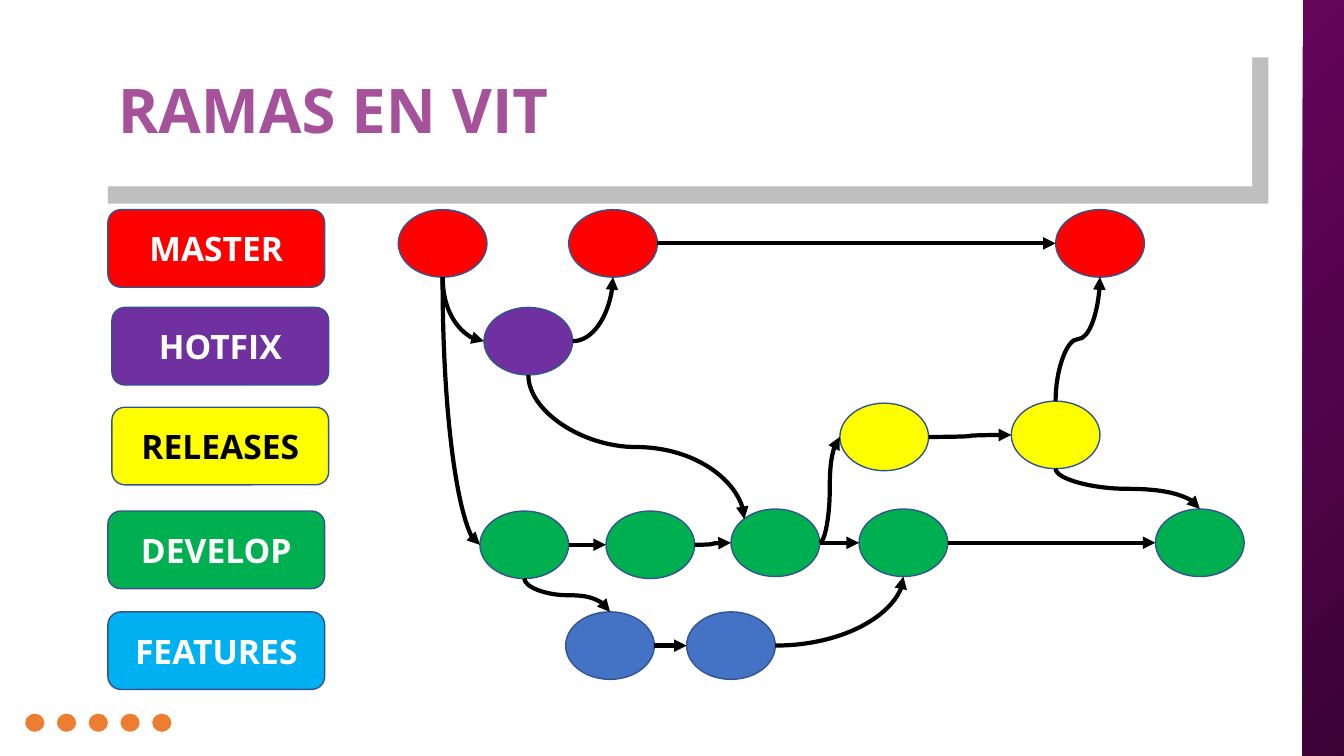
from dataclasses import dataclass
from enum import Enum

import lxml.etree
import pptx
import pptx.dml.color
import pptx.enum.shapes
import pptx.enum.text
import pptx.oxml
import pptx.oxml.ns
import pptx.util

Inches = pptx.util.Inches
Shapes = pptx.enum.shapes.MSO_SHAPE
qn = pptx.oxml.ns.qn


@dataclass(frozen=True)
class Theme:
    font: str = "Open Sans"
    title_size: int = 44
    label_size: int = 24
    outline_width: int = 1
    arrow_width: int = 3
    title: str = "A5529B"
    shade: str = "BFBFBF"
    white: str = "FFFFFF"
    black: str = "000000"
    dot: str = "ED7D31"
    outline: str = "325491"
    master: str = "FF0000"
    hotfix: str = "7030A0"
    release: str = "FFFF00"
    develop: str = "00B050"
    features_label: str = "00B0F0"
    feature: str = "4472C4"
    band: tuple[str, ...] = ("390233", "53034B", "64045B")


THEME = Theme()
COMMIT_WIDTH, COMMIT_HEIGHT = 0.88, 0.67


class Side(Enum):
    TOP = (0.5, 0)
    LEFT = (0, 0.5)
    BOTTOM = (0.5, 1)
    RIGHT = (1, 0.5)
    TOP_LEFT = (0.15, 0.15)

    @property
    def vertical(self) -> bool:
        return self not in (Side.LEFT, Side.RIGHT)


@dataclass(frozen=True)
class BranchLabel:
    text: str
    left: float
    top: float
    fill: str
    ink: str = THEME.white


@dataclass(frozen=True)
class Commit:
    left: float
    top: float
    fill: str

    def point(self, side: Side) -> tuple[float, float]:
        across, down = side.value
        return self.left + across * COMMIT_WIDTH, self.top + down * COMMIT_HEIGHT


@dataclass(frozen=True)
class Step:
    source: str
    leaves: Side
    target: str
    enters: Side


LABELS = [
    BranchLabel("MASTER", 1.07, 2.08, THEME.master),
    BranchLabel("HOTFIX", 1.11, 3.05, THEME.hotfix),
    BranchLabel("RELEASES", 1.11, 4.04, THEME.release, THEME.black),
    BranchLabel("DEVELOP", 1.07, 5.07, THEME.develop),
    BranchLabel("FEATURES", 1.07, 6.07, THEME.features_label),
]

COMMITS = {
    "master 1": Commit(3.95, 2.08, THEME.master),
    "master 2": Commit(5.64, 2.08, THEME.master),
    "master 3": Commit(10.47, 2.08, THEME.master),
    "hotfix": Commit(4.8, 3.05, THEME.hotfix),
    "release 1": Commit(8.33, 4, THEME.release),
    "release 2": Commit(10.03, 3.98, THEME.release),
    "develop 1": Commit(4.76, 5.07, THEME.develop),
    "develop 2": Commit(6.01, 5.07, THEME.develop),
    "develop 3": Commit(7.25, 5.05, THEME.develop),
    "develop 4": Commit(8.52, 5.05, THEME.develop),
    "develop 5": Commit(11.46, 5.05, THEME.develop),
    "feature 1": Commit(5.61, 6.07, THEME.feature),
    "feature 2": Commit(6.81, 6.07, THEME.feature),
}

STEPS = [
    Step("hotfix", Side.RIGHT, "master 2", Side.BOTTOM),
    Step("master 1", Side.BOTTOM, "hotfix", Side.LEFT),
    Step("master 1", Side.BOTTOM, "develop 1", Side.LEFT),
    Step("master 2", Side.RIGHT, "master 3", Side.LEFT),
    Step("develop 1", Side.RIGHT, "develop 2", Side.LEFT),
    Step("develop 2", Side.RIGHT, "develop 3", Side.LEFT),
    Step("develop 3", Side.RIGHT, "develop 4", Side.LEFT),
    Step("develop 4", Side.RIGHT, "develop 5", Side.LEFT),
    Step("develop 3", Side.RIGHT, "release 1", Side.LEFT),
    Step("release 1", Side.RIGHT, "release 2", Side.LEFT),
    Step("release 2", Side.TOP, "master 3", Side.BOTTOM),
    Step("release 2", Side.BOTTOM, "develop 5", Side.TOP),
    Step("hotfix", Side.BOTTOM, "develop 3", Side.TOP_LEFT),
    Step("develop 1", Side.BOTTOM, "feature 1", Side.TOP),
    Step("feature 1", Side.RIGHT, "feature 2", Side.LEFT),
    Step("feature 2", Side.RIGHT, "develop 4", Side.BOTTOM),
]


def rgb(value: str) -> pptx.dml.color.RGBColor:
    return pptx.dml.color.RGBColor.from_string(value)


def add_block(slide, kind, left: float, top: float, width: float, height: float,
              fill: str, outline: str | None = None):
    block = slide.shapes.add_shape(kind, Inches(left), Inches(top), Inches(width), Inches(height))
    block.shadow.inherit = False
    block.fill.solid()
    block.fill.fore_color.rgb = rgb(fill)
    if outline:
        block.line.color.rgb = rgb(outline)
        block.line.width = pptx.util.Pt(THEME.outline_width)
    else:
        block.line.fill.background()
    return block


def write(holder, text: str, size: int, ink: str, align):
    frame = holder.text_frame
    frame.word_wrap = True
    frame.vertical_anchor = pptx.enum.text.MSO_ANCHOR.MIDDLE
    paragraph = frame.paragraphs[0]
    paragraph.alignment = align
    run = paragraph.add_run()
    run.text = text
    run.font.name = THEME.font
    run.font.size = pptx.util.Pt(size)
    run.font.bold = True
    run.font.color.rgb = rgb(ink)
    return paragraph


def add_side_band(slide) -> None:
    band = add_block(slide, Shapes.RECTANGLE, 12.92, -0.05, 0.55, 7.64, THEME.band[0])
    stops = "".join(f'<a:gs pos="{i * 50000}"><a:srgbClr val="{color}"/></a:gs>'
                    for i, color in enumerate(THEME.band))
    gradient = pptx.oxml.parse_xml(
        f'<a:gradFill {pptx.oxml.ns.nsdecls("a")} rotWithShape="1"><a:gsLst>{stops}</a:gsLst>'
        '<a:path path="circle"><a:fillToRect l="100000" t="100000"/></a:path></a:gradFill>')
    properties = band._element.spPr
    properties.replace(properties.find(qn("a:solidFill")), gradient)


def add_frame(slide) -> None:
    add_block(slide, Shapes.RECTANGLE, 1.07, 0.57, 11.51, 1.45, THEME.shade)
    add_block(slide, Shapes.RECTANGLE, 0.91, 0.4, 11.51, 1.45, THEME.white)
    add_side_band(slide)
    for i in range(5):
        add_block(slide, Shapes.OVAL, 0.25 + i * 0.315, 7.08, 0.19, 0.18, THEME.dot)
    title = slide.shapes.add_textbox(Inches(1.07), Inches(0.4), Inches(11.19), Inches(1.45))
    heading = write(title, "RAMAS EN VIT", THEME.title_size, THEME.title,
                    pptx.enum.text.PP_ALIGN.LEFT)
    heading.line_spacing = 0.9


def add_step(slide, step: Step) -> None:
    x1, y1 = COMMITS[step.source].point(step.leaves)
    x2, y2 = COMMITS[step.target].point(step.enters)
    arrow = slide.shapes.add_connector(pptx.enum.shapes.MSO_CONNECTOR.CURVE,
                                       Inches(x1), Inches(y1), Inches(x2), Inches(y2))
    properties = arrow._element.spPr
    if step.leaves.vertical:
        width, height = abs(y2 - y1), abs(x2 - x1)
        arrow.left, arrow.top = Inches((x1 + x2 - width) / 2), Inches((y1 + y2 - height) / 2)
        arrow.width, arrow.height = Inches(width), Inches(height)
        turn = properties.find(qn("a:xfrm"))
        rising = y2 < y1
        turn.set("rot", str((90 if rising else 270) * 60000))
        turn.set("flipH", "1")
        turn.set("flipV", "1" if rising else "0")
    if step.leaves.vertical != step.enters.vertical:
        properties.find(qn("a:prstGeom")).set("prst", "curvedConnector2")
    arrow.line.color.rgb = rgb(THEME.black)
    arrow.line.width = pptx.util.Pt(THEME.arrow_width)
    lxml.etree.SubElement(properties.find(qn("a:ln")), qn("a:tailEnd"), type="triangle")
    lxml.etree.SubElement(properties, qn("a:effectLst"))


def main() -> None:
    deck = pptx.Presentation()
    deck.slide_width, deck.slide_height = Inches(13.33), Inches(7.5)
    slide = deck.slides.add_slide(deck.slide_layouts[6])
    add_frame(slide)
    for label in LABELS:
        box = add_block(slide, Shapes.ROUNDED_RECTANGLE, label.left, label.top, 2.15, 0.77,
                        label.fill, THEME.outline)
        write(box, label.text, THEME.label_size, label.ink, pptx.enum.text.PP_ALIGN.CENTER)
    for commit in COMMITS.values():
        add_block(slide, Shapes.OVAL, commit.left, commit.top, COMMIT_WIDTH, COMMIT_HEIGHT,
                  commit.fill, THEME.outline)
    for step in STEPS:
        add_step(slide, step)
    deck.save("out.pptx")


if __name__ == "__main__":
    main()
